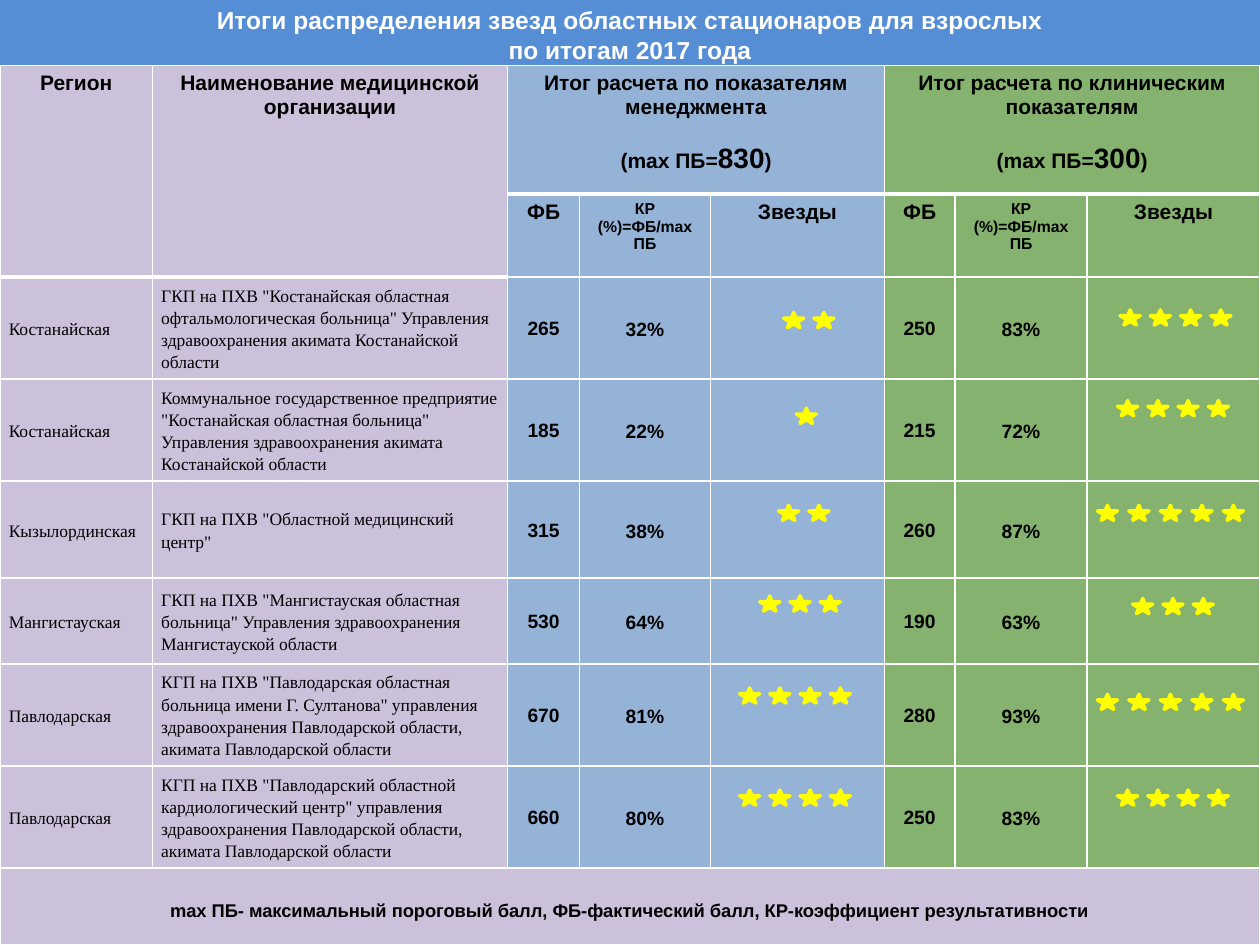
from lxml import etree
from pptx import Presentation
from pptx import util as u
from pptx.dml.color import RGBColor
from pptx.enum import shapes, text
from pptx.oxml.ns import qn

LILAC, BLUE, GREEN = "CCC1DA", "95B3D7", "85B26E"
BLACK, WHITE, GOLD = "000000", "FFFFFF", "FFFF00"
COLS = [1.21, 2.82, 0.57, 1.04, 1.38, 0.56, 1.05, 1.37]
ROWS = [1.02, 0.66, 0.81, 0.81, 0.77, 0.68, 0.81, 0.81, 0.61]
TINTS = [LILAC] * 2 + [BLUE] * 3 + [GREEN] * 3
MID = text.MSO_ANCHOR.MIDDLE
CENTER = text.PP_ALIGN.CENTER
WIDE, TIGHT = (0.07, 0, 0.07, 0), (0.01, 0.01, 0.01, 0)

# Region, hospital, then score and share for management and clinical results
DATA = [
    ("Костанайская", 'ГКП на ПХВ "Костанайская областная офтальмологическая больница" '
     "Управления здравоохранения акимата Костанайской области",
     "265", "32%", "250", "83%"),
    ("Костанайская", 'Коммунальное государственное предприятие "Костанайская областная '
     'больница" Управления здравоохранения акимата Костанайской области',
     "185", "22%", "215", "72%"),
    ("Кызылординская", 'ГКП на ПХВ "Областной медицинский центр"',
     "315", "38%", "260", "87%"),
    ("Мангистауская", 'ГКП на ПХВ "Мангистауская областная больница" Управления '
     "здравоохранения Мангистауской области",
     "530", "64%", "190", "63%"),
    ("Павлодарская", 'КГП на ПХВ "Павлодарская областная больница имени Г. Султанова" '
     "управления здравоохранения Павлодарской области, акимата Павлодарской области",
     "670", "81%", "280", "93%"),
    ("Павлодарская", 'КГП на ПХВ "Павлодарский областной кардиологический центр" '
     "управления здравоохранения Павлодарской области, акимата Павлодарской области",
     "660", "80%", "250", "83%"),
]
# Number of stars, left and top of each rating
STARS = [
    (2, 6.22, 2.48), (4, 8.89, 2.46),
    (1, 6.32, 3.24), (4, 8.87, 3.18),
    (2, 6.18, 4.01), (5, 8.71, 4.01),
    (3, 6.03, 4.73), (3, 8.99, 4.75),
    (4, 5.87, 5.46), (5, 8.71, 5.51),
    (4, 5.87, 6.27), (4, 8.87, 6.27),
]


def color(code):
    return RGBColor.from_string(code)


def paint(item, code):
    item.fill.solid()
    item.fill.fore_color.rgb = color(code)


def style(para, size, face="Arial", bold=True, tint=BLACK):
    for run in para.runs:
        run.font.size = u.Pt(size)
        run.font.name = face
        run.font.bold = bold
        run.font.color.rgb = color(tint)


def add_title(slide, width):
    bar = slide.shapes.title
    bar.left, bar.top, bar.width, bar.height = 0, 0, width, u.Inches(0.55)
    paint(bar, "558ED5")
    frame = bar.text_frame
    frame.text = ("Итоги распределения звезд областных стационаров для взрослых\v"
                  "по итогам 2017 года")
    frame.auto_size = text.MSO_AUTO_SIZE.NONE
    frame.vertical_anchor = MID
    para = frame.paragraphs[0]
    para.alignment = CENTER
    style(para, 14, tint=WHITE)


def edge(cell, base):
    """Draw white borders; base is the weight of the bottom one."""
    props = cell._tc.get_or_add_tcPr()
    for side, weight in zip("LRTB", (1, 1, 1, base)):
        line = etree.SubElement(props, qn("a:ln" + side), w=str(u.Pt(weight)))
        fill = etree.SubElement(line, qn("a:solidFill"))
        etree.SubElement(fill, qn("a:srgbClr"), val=WHITE)


def pad(cell, gaps):
    sides = ("margin_left", "margin_top", "margin_right", "margin_bottom")
    for side, gap in zip(sides, gaps):
        setattr(cell, side, u.Inches(gap))
    cell.vertical_anchor = MID


def write(cell, words, size, face="Arial", bold=True, align=CENTER, space=None):
    cell.text_frame.text = words
    para = cell.text_frame.paragraphs[0]
    para.alignment = align
    if space:
        para.line_spacing = space
    style(para, size, face, bold)


def add_limit(cell, limit):
    """Add the top score, in larger type, under the group heading."""
    para = cell.text_frame.add_paragraph()
    para.alignment = CENTER
    para.space_before = u.Pt(14)
    for part in ("(mах ПБ=", limit, ")"):
        para.add_run().text = part
    style(para, 12)
    para.runs[1].font.size = u.Pt(16)


def fill_head(grid):
    for col, words in enumerate(("Регион", "Наименование медицинской организации")):
        grid.cell(0, col).merge(grid.cell(1, col))
        write(grid.cell(0, col), words, 12)
    groups = (
        (2, "Итог расчета по показателям менеджмента", "830"),
        (5, "Итог расчета по клиническим показателям", "300"),
    )
    for col, words, limit in groups:
        top = grid.cell(0, col)
        top.merge(grid.cell(0, col + 2))
        write(top, words, 12)
        add_limit(top, limit)
        labels = (("ФБ", 12), ("КР (%)=ФБ/max ПБ", 9), ("Звезды", 12))
        for step, (label, size) in enumerate(labels):
            write(grid.cell(1, col + step), label, size)


def fill_body(grid):
    for row, (*names, score, share, score2, share2) in enumerate(DATA, 2):
        for col, name in enumerate(names):
            cell = grid.cell(row, col)
            write(cell, name, 10, "Times New Roman", False, None, 1.15)
            pad(cell, WIDE)
        for col, mark, rate in ((2, score, share), (5, score2, share2)):
            write(grid.cell(row, col), mark, 11)
            pad(grid.cell(row, col), TIGHT)
            write(grid.cell(row, col + 1), rate, 11, space=1.15)
            pad(grid.cell(row, col + 1), WIDE)


def fill_foot(grid):
    last = len(ROWS) - 1
    cell = grid.cell(last, 0)
    cell.merge(grid.cell(last, len(COLS) - 1))
    write(cell, "mах ПБ- максимальный пороговый балл, ФБ-фактический балл, "
          "КР-коэффициент результативности", 10.5)
    pad(cell, (0.01, 0.08, 0.01, 0))


def add_grid(slide, width):
    frame = slide.shapes.add_table(len(ROWS), len(COLS), 0, u.Inches(0.52),
                                   width, u.Inches(sum(ROWS)))
    grid = frame.table
    grid.first_row = grid.horz_banding = False
    for col, size in zip(grid.columns, COLS):
        col.width = u.Inches(size)
    for row, size in zip(grid.rows, ROWS):
        row.height = u.Inches(size)
    for row in range(len(ROWS)):
        for col, tint in enumerate(TINTS):
            cell = grid.cell(row, col)
            edge(cell, 3 if row == 0 else 1)
            paint(cell, LILAC if row == len(ROWS) - 1 else tint)
    fill_head(grid)
    fill_body(grid)
    fill_foot(grid)


def add_stars(slide, count, left, top):
    home = slide.shapes if count == 1 else slide.shapes.add_group_shape().shapes
    pitch = 0.25 if count == 5 else 0.24
    for step in range(count):
        star = home.add_shape(shapes.MSO_SHAPE.STAR_5_POINT,
                              u.Inches(left + step * pitch), u.Inches(top),
                              u.Inches(0.16), u.Inches(0.12))
        star.shadow.inherit = False
        paint(star, GOLD)
        star.line.color.rgb = color(GOLD)
        star.line.width = u.Pt(2)


def main():
    deck = Presentation()
    deck.slide_width, deck.slide_height = u.Inches(10), u.Inches(7.5)
    slide = deck.slides.add_slide(deck.slide_layouts[5])
    add_title(slide, deck.slide_width)
    add_grid(slide, deck.slide_width)
    for rating in STARS:
        add_stars(slide, *rating)
    deck.save("out.pptx")


if __name__ == "__main__":
    main()
